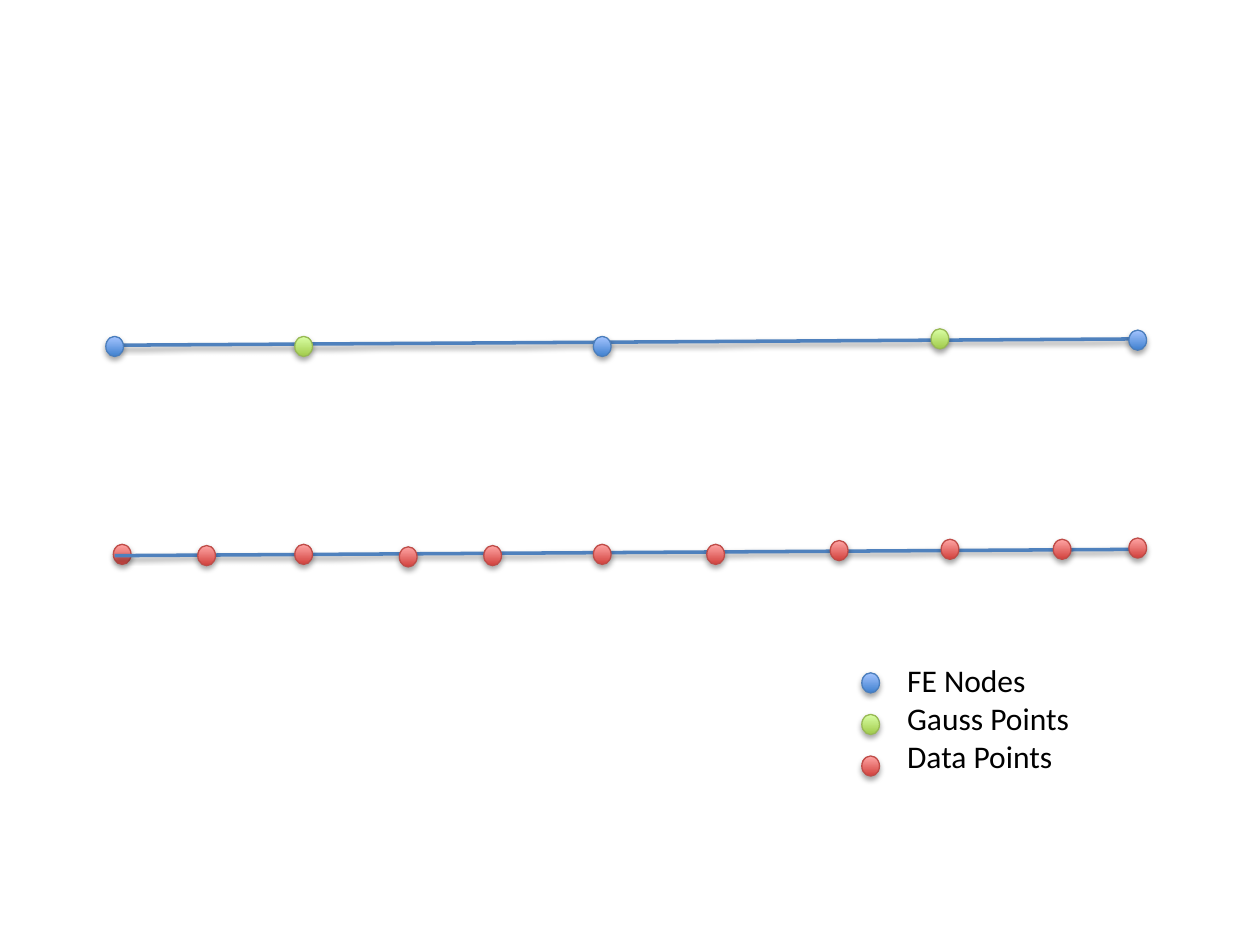
from dataclasses import dataclass

from lxml.etree import SubElement
from pptx import Presentation
from pptx.dml.color import RGBColor
from pptx.enum.shapes import MSO_CONNECTOR as Connector, MSO_SHAPE as Shape
from pptx.oxml.ns import qn
from pptx.slide import Slide
from pptx.util import Inches, Length, Pt

BLACK = RGBColor(0x00, 0x00, 0x00)
LINE_BLUE = RGBColor(0x4F, 0x81, 0xBD)


@dataclass(frozen=True)
class DotStyle:
    label: str
    dark: RGBColor
    light: RGBColor
    outline: RGBColor


@dataclass(frozen=True)
class Dot:
    column: float
    row: float
    style: DotStyle


@dataclass(frozen=True)
class Element:
    start_row: float
    end_row: float


NODE = DotStyle("FE Nodes", RGBColor(0x3F, 0x80, 0xCE),
                RGBColor(0xA4, 0xC4, 0xFF), RGBColor(0x4B, 0x7E, 0xBC))
GAUSS = DotStyle("Gauss Points", RGBColor(0xA0, 0xCA, 0x4A),
                 RGBColor(0xDA, 0xFF, 0xA5), RGBColor(0x98, 0xB9, 0x55))
DATA = DotStyle("Data Points", RGBColor(0xD1, 0x40, 0x3C),
                RGBColor(0xFF, 0xA6, 0xA5), RGBColor(0xBF, 0x4C, 0x48))
STYLES = (NODE, GAUSS, DATA)

START_COLUMN, MIDDLE_COLUMN, END_COLUMN = 9.1, 47.8, 90.3
DOT_COLUMNS, DOT_ROWS = 1.4, 1.6
LEGEND_COLUMN, LEGEND_ROW, LEGEND_STEP = 69.1, 54.2, 3.3

MESH_ELEMENT = Element(27.4, 26.9)
DATA_ELEMENT = Element(44.1, 43.6)
MESH_DOTS = (
    Dot(START_COLUMN, 27.5, NODE),
    Dot(END_COLUMN, 27, NODE),
    Dot(MIDDLE_COLUMN, 27.5, NODE),
    Dot(24.1, 27.5, GAUSS),
    Dot(74.6, 26.9, GAUSS),
)
FIRST_DATA_DOT = Dot(9.7, 44, DATA)
DATA_PLACES = (
    (16.4, 44.1), (24.1, 44), (32.4, 44.2), (39.1, 44.1), (66.6, 43.7),
    (75.4, 43.6), (84.3, 43.6), (END_COLUMN, 43.5), (MIDDLE_COLUMN, 44),
    (56.8, 44),
)


def cells(count: float) -> Length:
    return Inches(count / 10)


def fill_shadow(effects, distance: float, opacity: int) -> None:
    shadow = SubElement(effects, qn("a:outerShdw"), blurRad=str(Pt(3.1)),
                        dist=str(Pt(distance)), dir="5400000", rotWithShape="0")
    color = SubElement(shadow, qn("a:srgbClr"), val=str(BLACK))
    SubElement(color, qn("a:alpha"), val=str(opacity * 1000))


def draw_element(page: Slide, element: Element) -> None:
    line = page.shapes.add_connector(
        Connector.STRAIGHT, cells(START_COLUMN), cells(element.start_row),
        cells(END_COLUMN), cells(element.end_row))
    line.line.color.rgb = LINE_BLUE
    line.line.width = Pt(2)
    effects = SubElement(line._element.spPr, qn("a:effectLst"))
    fill_shadow(effects, 1.6, 38)


def draw_dot(page: Slide, dot: Dot) -> None:
    circle = page.shapes.add_shape(
        Shape.OVAL, cells(dot.column - DOT_COLUMNS / 2),
        cells(dot.row - DOT_ROWS / 2), cells(DOT_COLUMNS), cells(DOT_ROWS))
    circle.fill.gradient()
    circle.fill.gradient_angle = 90
    for stop, color in zip(circle.fill.gradient_stops,
                           (dot.style.dark, dot.style.light)):
        stop.color.rgb = color
    circle.line.color.rgb = dot.style.outline
    circle.line.width = Pt(0.75)
    circle.shadow.inherit = False
    fill_shadow(circle._element.spPr.find(qn("a:effectLst")), 1.8, 35)


def draw_legend(page: Slide) -> None:
    box = page.shapes.add_textbox(cells(67.1), cells(52), cells(24.6), cells(10.1))
    frame = box.text_frame
    frame.word_wrap = True
    frame.margin_left = cells(4.9)
    for index, style in enumerate(STYLES):
        para = frame.add_paragraph() if index else frame.paragraphs[0]
        span = para.add_run()
        span.text = style.label
        span.font.name = "Calibri"
        span.font.size = Pt(18)
        span.font.color.rgb = BLACK
        draw_dot(page, Dot(LEGEND_COLUMN, LEGEND_ROW + index * LEGEND_STEP, style))


def main() -> None:
    deck = Presentation()
    deck.slide_width, deck.slide_height = cells(100), cells(75)
    page = deck.slides.add_slide(deck.slide_layouts[6])
    draw_element(page, MESH_ELEMENT)
    for dot in MESH_DOTS:
        draw_dot(page, dot)
    draw_dot(page, FIRST_DATA_DOT)
    draw_element(page, DATA_ELEMENT)
    for column, row in DATA_PLACES:
        draw_dot(page, Dot(column, row, DATA))
    draw_legend(page)
    deck.save("out.pptx")


if __name__ == "__main__":
    main()
